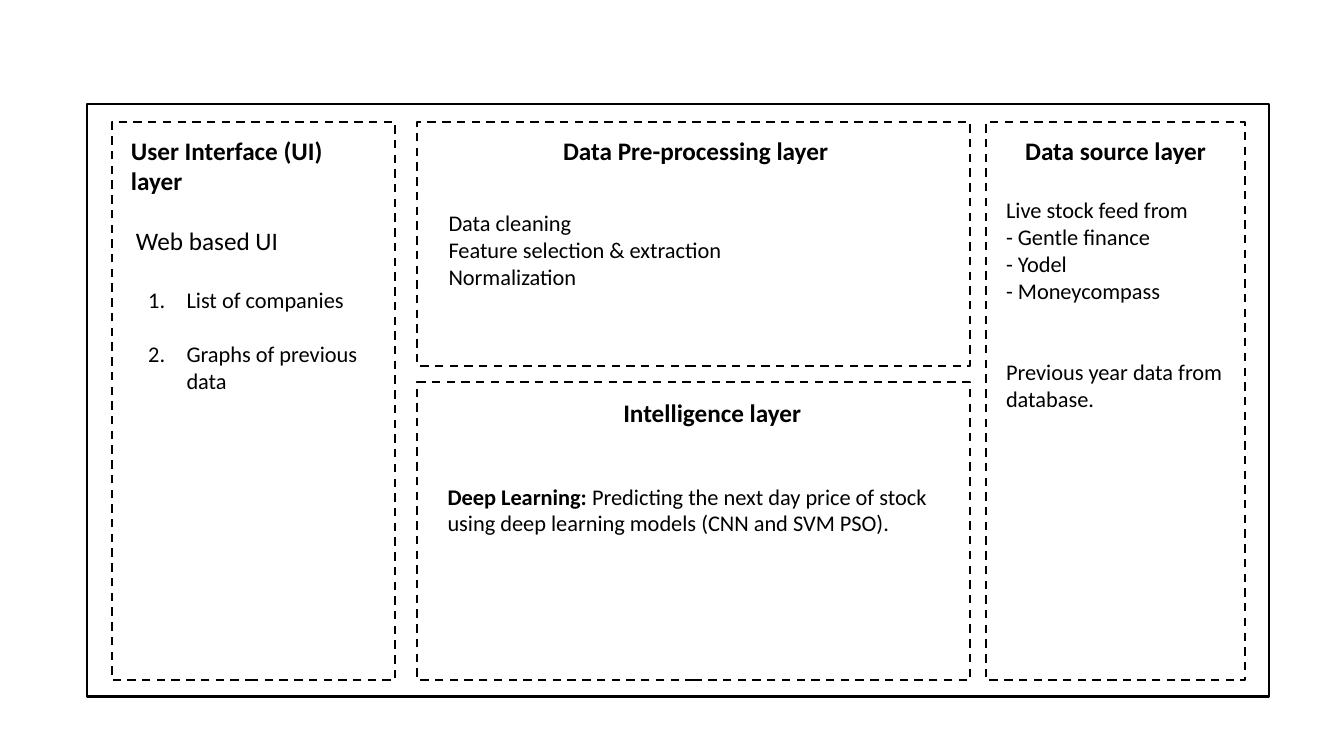
"""Build a slide that shows the layers of a stock prediction system."""
from lxml import etree
from pptx import Presentation
from pptx.dml.color import RGBColor
from pptx.enum import dml, shapes, text
from pptx.oxml import ns
from pptx import util as u

THEME = {
    "font": "Calibri",
    "ink": RGBColor(0, 0, 0),
    "heading": u.Pt(18),
    "body": u.Pt(16),
    "line": u.Pt(1.5),
    "blank": u.Pt(19.5),
}
COLUMNS = {"interface": (1.11, 2.81), "process": (4.14, 5.48), "source": (9.78, 2.57)}
ROWS = {"full": (1.21, 5.54), "upper": (1.21, 2.42), "lower": (3.79, 2.96)}
LEFT, CENTER = text.PP_ALIGN.LEFT, text.PP_ALIGN.CENTER


def add_panel(page, column, row, dash=None):
    """Draw an unfilled, outlined rectangle over a column and a row."""
    panel = page.shapes.add_shape(
        shapes.MSO_SHAPE.RECTANGLE,
        *(u.Inches(value) for value in (column[0], row[0], column[1], row[1])))
    panel.shadow.inherit = False
    panel.fill.background()
    panel.line.color.rgb = THEME["ink"]
    panel.line.width = THEME["line"]
    if dash:
        panel.line.dash_style = dash


def write(box, place, paragraphs, size, align=LEFT):
    """Place a box and fill it with (blank lines before, [(words, bold)]) paragraphs."""
    for side, value in zip(("left", "top", "width", "height"), place):
        setattr(box, side, u.Inches(value))
    frame = box.text_frame
    frame.word_wrap = True
    frame.auto_size = text.MSO_AUTO_SIZE.NONE
    for index, (blanks, spans) in enumerate(paragraphs):
        para = frame.add_paragraph() if index else frame.paragraphs[0]
        para.alignment = align
        para.space_before = blanks * THEME["blank"]
        for words, bold in spans:
            span = para.add_run()
            span.text = words
            for name, value in {"name": THEME["font"], "size": size, "bold": bold}.items():
                setattr(span.font, name, value)
            span.font.color.rgb = THEME["ink"]


deck = Presentation()
deck.slide_width, deck.slide_height = u.Inches(13.33), u.Inches(7.5)
page = deck.slides.add_slide(deck.slide_layouts.get_by_name("Title and Content"))
unused_title = page.shapes.title.element
unused_title.getparent().remove(unused_title)

add_panel(page, (0.86, 11.73), (1.03, 5.88))
for column, row in (("interface", "full"), ("process", "upper"),
                    ("process", "lower"), ("source", "full")):
    add_panel(page, COLUMNS[column], ROWS[row], dml.MSO_LINE.DASH)

headings = [
    ("User Interface (UI) layer", (1.2, 1.29, 2.63, 0.71), True, LEFT),
    ("Web based UI", (1.25, 2.19, 2.52, 0.4), False, LEFT),
    ("Data Pre-processing layer", (4.36, 1.29, 5.08, 0.4), True, CENTER),
    ("Intelligence layer", (4.7, 3.89, 4.73, 0.4), True, CENTER),
    ("Data source layer", (9.88, 1.29, 2.37, 0.4), True, CENTER),
]
for words, place, bold, align in headings:
    box = page.shapes.add_textbox(0, 0, 0, 0)
    write(box, place, [(0, [(words, bold)])], THEME["heading"], align)

details = [
    ((4.35, 2.03, 5.08, 0.91), [
        (0, [("Data cleaning", False)]),
        (0, [("Feature selection & extraction", False)]),
        (0, [("Normalization", False)]),
    ]),
    ((4.34, 4.74, 4.99, 0.64), [
        (0, [("Deep Learning: ", True),
             ("Predicting the next day price of stock using deep learning models "
              "(CNN and SVM PSO).", False)]),
    ]),
    ((9.88, 1.9, 2.37, 2.26), [
        (0, [("Live stock feed from", False)]),
        (0, [("- Gentle finance", False)]),
        (0, [("- Yodel", False)]),
        (0, [("- Moneycompass", False)]),
        (2, [("Previous year data from database.", False)]),
    ]),
]
for place, paragraphs in details:
    write(page.shapes.add_textbox(0, 0, 0, 0), place, paragraphs, THEME["body"])

features = page.placeholders[1]
write(features, (1.37, 2.79, 2.29, 1.18), [
    (0, [("List of companies", False)]),
    (1, [("Graphs of previous data", False)]),
], THEME["body"])
for para in features.text_frame.paragraphs:
    properties = para._p.get_or_add_pPr()
    properties.set("marL", str(u.Inches(0.38)))
    properties.set("indent", str(-u.Inches(0.38)))
    for tag, name, value in (("a:buFont", "typeface", "+mj-lt"),
                             ("a:buAutoNum", "type", "arabicPeriod")):
        etree.SubElement(properties, ns.qn(tag)).set(name, value)

deck.save("out.pptx")
